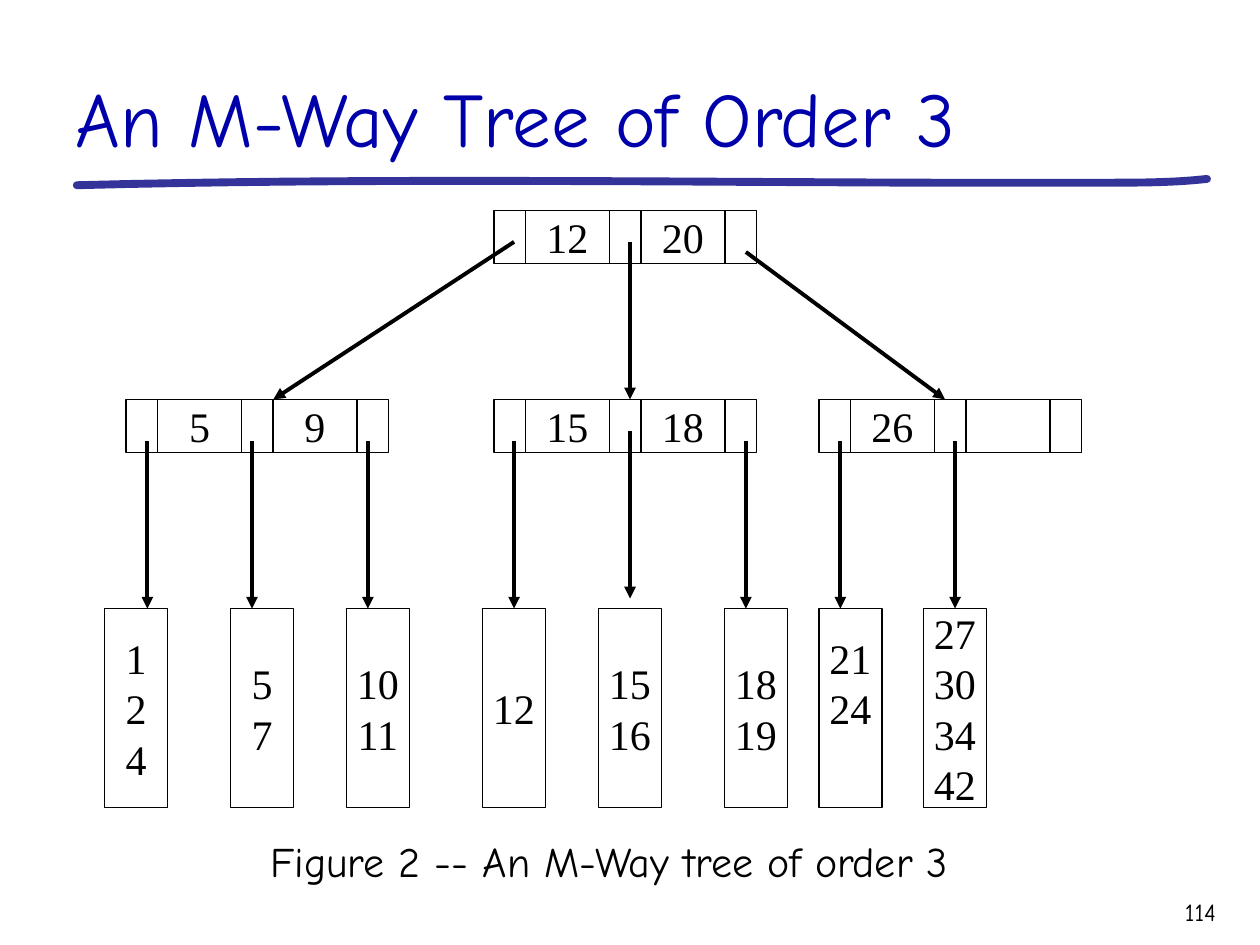
from lxml import etree
from pptx import Presentation
from pptx.dml.color import RGBColor
from pptx.enum.shapes import MSO_CONNECTOR as CONN, MSO_SHAPE as SHAPE
from pptx.enum.text import MSO_ANCHOR as ANCHOR, PP_ALIGN as ALIGN
from pptx.oxml.ns import qn
from pptx.util import Inches, Pt

HAND, SERIF = "Comic Neue", "Times New Roman"
BLACK, BLUE, INDIGO = "000000", "0000AA", "333399"
POINTER_W, KEY_W, NODE_H = 0.25, 2 / 3, 0.42
LEAF_W, LEAF_H, LINE_H = 0.5, 1.58, 0.4
ROOT_Y, NODE_Y, LEAF_Y = 1.67, 3.17, 4.83

# left edge and keys of each node
ROOT = (3.92, ["12", "20"])
NODES = [(1, ["5", "9"]), (3.92, ["15", "18"]), (6.5, ["26", ""])]
# left edge, values, blank lines below the values
LEAVES = [
    (0.83, ["1", "2", "4"], 0), (1.83, ["5", "7"], 0), (2.75, ["10", "11"], 0),
    (3.83, ["12"], 0), (4.75, ["15", "16"], 0), (5.75, ["18", "19"], 0),
    (6.5, ["21", "24"], 1), (7.33, ["27", "30", "34", "42"], 0),
]
ROOT_ARROWS = [(4.08, 1.92, 2.17), (5, 1.92, 5), (5.92, 2, 7.5)]
LEAF_ARROWS_X = [1.17, 2, 2.92, 4.08, 5.92, 6.67, 7.58]


def rgb(color):
    return RGBColor.from_string(color)


def style_line(s, color, width):
    s.line.color.rgb = rgb(color)
    s.line.width = Pt(width)


def write(tf, lines, size, font, color, align):
    for i, line in enumerate(lines):
        p = tf.paragraphs[0] if i == 0 else tf.add_paragraph()
        p.alignment = align
        r = p.add_run()
        r.text = line
        r.font.size, r.font.name = Pt(size), font
        r.font.color.rgb = rgb(color)


def add_title(slide, x, y, w, h, text):
    s = slide.shapes.title
    s.left, s.top, s.width, s.height = map(Inches, (x, y, w, h))
    s.text_frame.vertical_anchor = ANCHOR.BOTTOM
    write(s.text_frame, [text], 44, HAND, BLUE, ALIGN.LEFT)


def add_underline(slide, x, y):
    """Draw the hand-drawn stroke as one sampled curve."""
    start, *controls = [(0.03, 0.05), (2.75, -0.02), (5.47, 0.04),
                        (8.18, 0.03), (8.46, 0.03), (8.73, 0.03), (9, 0)]
    points = []
    for i in (0, 3):
        curve = [start] + controls[i:i + 3]
        start = curve[-1]
        for step in range(1, 21):
            t = step / 20
            weights = ((1 - t) ** 3, 3 * t * (1 - t) ** 2,
                       3 * t ** 2 * (1 - t), t ** 3)
            points.append([Inches(origin + sum(k * c[axis] for k, c in zip(weights, curve)))
                           for axis, origin in enumerate((x, y))])
    builder = slide.shapes.build_freeform(Inches(x + 0.03), Inches(y + 0.05))
    builder.add_line_segments(points, close=False)
    s = builder.convert_to_shape()
    s.shadow.inherit = False
    s.fill.background()
    style_line(s, INDIGO, 4.5)
    s.line._get_or_add_ln().set("cap", "rnd")


def add_box(shapes, x, y, w, h, lines=(), blank_lines=0):
    s = shapes.add_shape(SHAPE.RECTANGLE, *map(Inches, (x, y, w, h)))
    s.shadow.inherit = False
    s.fill.background()
    style_line(s, BLACK, 0.75)
    tf = s.text_frame
    tf.word_wrap = False
    tf.vertical_anchor = ANCHOR.MIDDLE
    tf.margin_bottom = Inches(0.05 + blank_lines * LINE_H)
    write(tf, lines, 24, SERIF, BLACK, ALIGN.CENTER)


def add_node(shapes, x, y, keys):
    """A pointer cell, then a key cell and a pointer cell for each key."""
    add_box(shapes, x, y, POINTER_W, NODE_H)
    x += POINTER_W
    for key in keys:
        add_box(shapes, x, y, KEY_W, NODE_H, [key] if key else [])
        add_box(shapes, x + KEY_W, y, POINTER_W, NODE_H)
        x += KEY_W + POINTER_W


def add_arrow(shapes, x1, y1, x2, y2):
    s = shapes.add_connector(CONN.STRAIGHT, *map(Inches, (x1, y1, x2, y2)))
    style_line(s, BLACK, 2.25)
    etree.SubElement(s.line._get_or_add_ln(), qn("a:tailEnd"), type="triangle")
    etree.SubElement(s._element.spPr, qn("a:effectLst"))


def add_tree(slide):
    shapes = slide.shapes.add_group_shape().shapes
    # Leaves
    for x, values, blank_lines in LEAVES:
        add_box(shapes, x, LEAF_Y, LEAF_W, LEAF_H, values, blank_lines)
    # Root and inner nodes
    add_node(shapes, ROOT[0], ROOT_Y, ROOT[1])
    for x, keys in NODES:
        add_node(shapes, x, NODE_Y, keys)
    # Pointers; the middle one stops short of its leaf
    for x in LEAF_ARROWS_X:
        add_arrow(shapes, x, 3.5, x, LEAF_Y)
    add_arrow(shapes, 5, 3.42, 5, 4.75)
    for x1, y1, x2 in ROOT_ARROWS:
        add_arrow(shapes, x1, y1, x2, NODE_Y)


def add_label(slide, x, y, w, h, text, size, align):
    tf = slide.shapes.add_textbox(*map(Inches, (x, y, w, h))).text_frame
    tf.word_wrap = True
    write(tf, [text], size, HAND, BLACK, align)


def main():
    prs = Presentation()
    prs.slide_width, prs.slide_height = Inches(10), Inches(7.5)
    slide = prs.slides.add_slide(prs.slide_layouts[5])
    add_underline(slide, 0.58, 1.42)
    add_title(slide, 0.5, 0.17, 9.25, 1.17, "An M-Way Tree of Order 3")
    add_tree(slide)
    # Caption and page number
    add_label(slide, 0.67, 6.58, 8.33, 0.5,
              "Figure 2 -- An M-Way tree of order 3", 24, ALIGN.CENTER)
    add_label(slide, 8.75, 7.07, 1, 0.35, "114", 14, ALIGN.RIGHT)
    prs.save("out.pptx")


if __name__ == "__main__":
    main()
